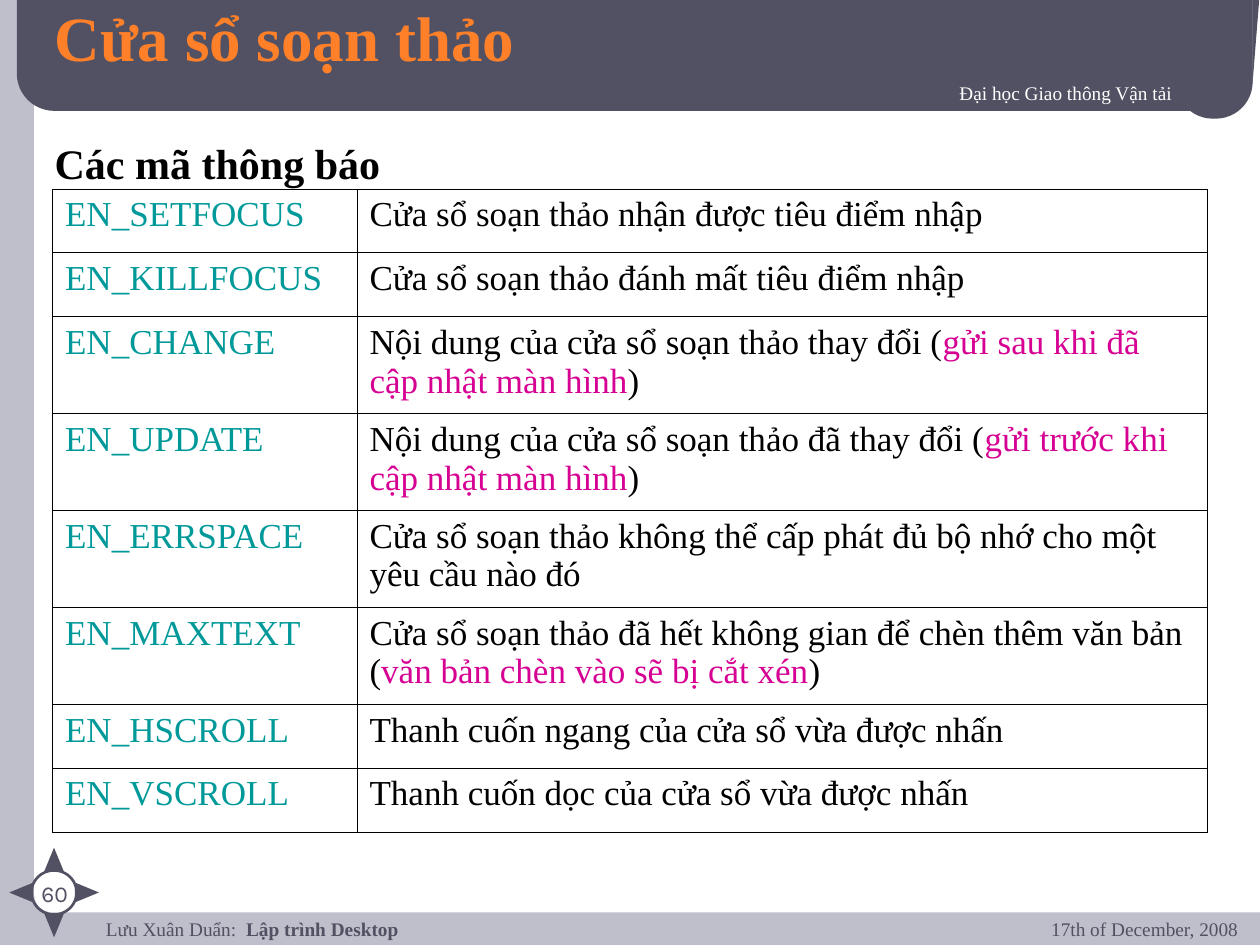
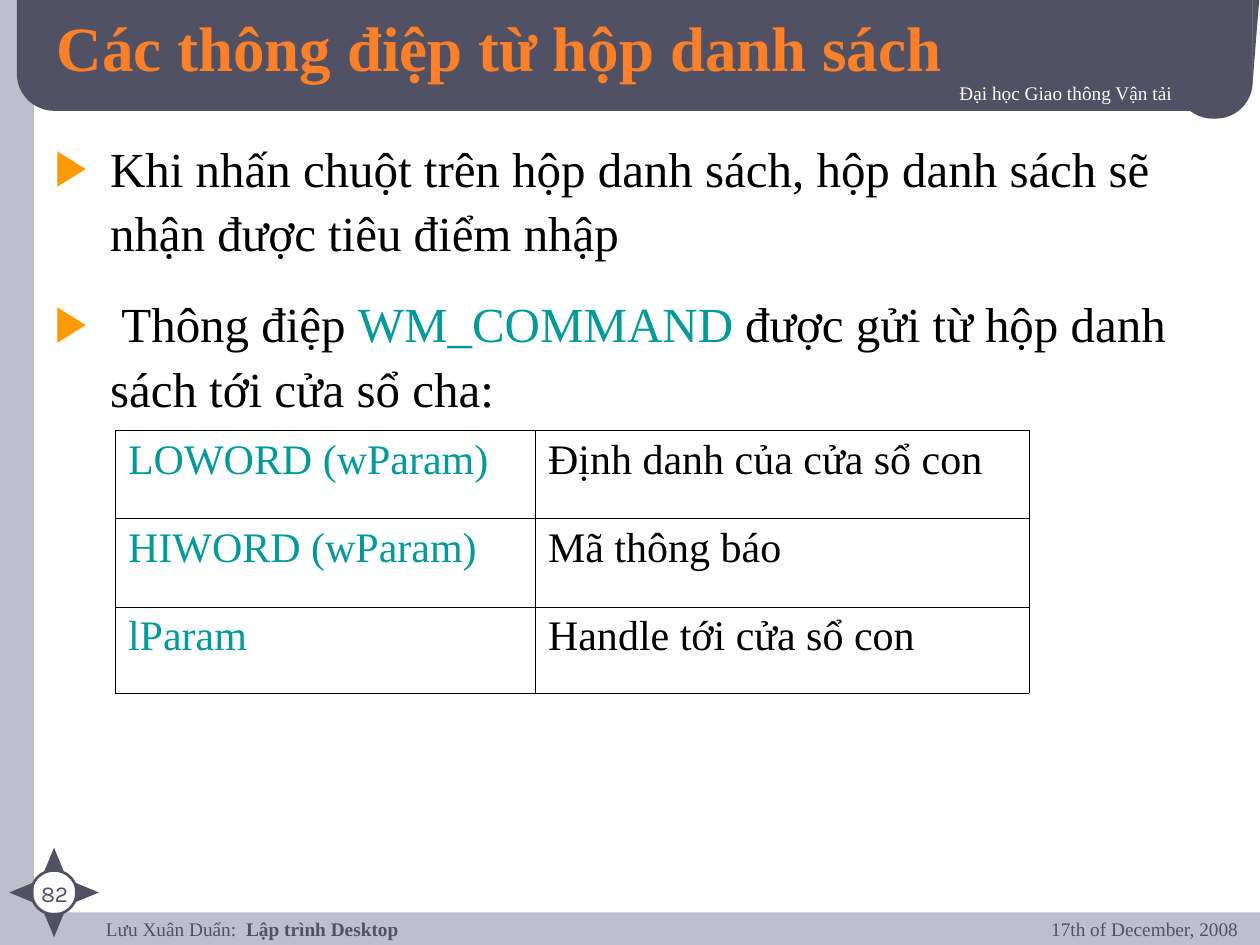
import math
from dataclasses import dataclass

import lxml.etree
import pptx
import pptx.dml.color
import pptx.enum.shapes
import pptx.enum.text
import pptx.oxml.ns
import pptx.util

Pt = pptx.util.Pt
Inches = pptx.util.Inches
qn = pptx.oxml.ns.qn
Preset = pptx.enum.shapes.MSO_SHAPE
Align = pptx.enum.text.PP_ALIGN
Anchor = pptx.enum.text.MSO_ANCHOR

WIDTH, HEIGHT = Inches(10), Inches(7.5)
COLUMNS, ROWS = 120, 90


@dataclass(frozen=True)
class Theme:
    backdrop: str = "BFBFCB"
    paper: str = "FFFFFF"
    slate: str = "515163"
    title: str = "FF8029"
    ink: str = "000000"
    code: str = "009999"
    remark: str = "D60093"
    bullet: str = "FF9900"
    serif: str = "Times New Roman"
    number_font: str = "Karla"
    title_size: int = 36
    list_size: int = 28
    heading_size: int = 24
    cell_size: int = 20
    number_size: int = 13
    small_size: int = 11
    border: float = 0.45
    line_spacing: float = 1.1
    paragraph_gap: int = 15
    indent: float = 0.44


THEME = Theme()


def rgb(colour):
    return pptx.dml.color.RGBColor.from_string(colour)


def across(columns):
    return round(WIDTH * columns / COLUMNS)


def down(rows):
    return round(HEIGHT * rows / ROWS)


def grid(left, top, width, height):
    return across(left), down(top), across(width), down(height)


def place(holder, box):
    holder.left, holder.top, holder.width, holder.height = grid(*box)


def append(parent, tag, **attributes):
    return lxml.etree.SubElement(parent, qn(tag), attributes)


def cast_shadow(run):
    effects = lxml.etree.Element(qn("a:effectLst"))
    shadow = append(effects, "a:outerShdw", dist="25400", dir="2700000")
    append(shadow, "a:srgbClr", val=THEME.ink)
    run._r.rPr.find(qn("a:solidFill")).addnext(effects)


def add_run(paragraph, text, size, colour=THEME.ink, bold=False, font=THEME.serif, shadow=False):
    run = paragraph.add_run()
    run.text = text
    run.font.size, run.font.bold, run.font.name = Pt(size), bold, font
    run.font.color.rgb = rgb(colour)
    if shadow:
        cast_shadow(run)


def add_label(shapes, box, runs, align=Align.LEFT, top_inset=0.05, **style):
    """Place one line of text; runs holds (text, bold) pairs."""
    frame = shapes.add_textbox(*grid(*box)).text_frame
    frame.word_wrap = True
    frame.margin_top = frame.margin_bottom = Inches(top_inset)
    line = frame.paragraphs[0]
    line.alignment = align
    for text, bold in runs:
        add_run(line, text, bold=bold, **style)


def add_block(shapes, preset, box, colour, corner=None, turn=0):
    block = shapes.add_shape(preset, *grid(*box))
    block.shadow.inherit = False
    block.fill.solid()
    block.fill.fore_color.rgb = rgb(colour)
    block.line.fill.background()
    block.rotation = turn
    if corner is not None:
        block.adjustments[0] = corner


def add_compass(shapes):
    ring = shapes.add_shape(Preset.OVAL, *grid(3, 82.9, 4.3, 4.2))
    ring.shadow.inherit = False
    ring.fill.background()
    ring.line.color.rgb = rgb(THEME.slate)
    ring.line.width = Pt(1.5)
    centre_x, centre_y, reach, base, height = 5.15, 85, 3.12, 1.9, 2.3
    for turn in range(0, 360, 90):
        x = centre_x + reach * math.sin(math.radians(turn))
        y = centre_y - reach * math.cos(math.radians(turn))
        add_block(shapes, Preset.ISOSCELES_TRIANGLE,
                  (x - base / 2, y - height / 2, base, height), THEME.slate, turn=turn)


def decorate_master(master, slide):
    """Draw the shared frame on a slide, then move it to the master."""
    master.background.fill.solid()
    master.background.fill.fore_color.rgb = rgb(THEME.backdrop)
    frame = slide.shapes.add_group_shape()
    shapes = frame.shapes
    rounded = Preset.ROUNDED_RECTANGLE
    add_block(shapes, rounded, (3.25, -1.5, 120, 88.4), THEME.paper, 0.02)
    add_block(shapes, rounded, (1.6, -4.3, 117.7, 14.86), THEME.slate, 0.24)
    add_block(shapes, rounded, (112, 3.5, 7.3, 7.8), THEME.slate, 0.48)
    add_block(shapes, Preset.RIGHT_TRIANGLE, (115.14, 3.18, 9, 0.72), THEME.slate, turn=90)
    add_label(shapes, (8.9, 87.4, 92.9, 4),
              [("Lưu Xuân Duẩn:  ", False), ("Lập trình Desktop", True)],
              top_inset=0, size=THEME.small_size, colour=THEME.slate)
    add_compass(shapes)
    add_label(shapes, (36.4, 7.2, 76.4, 4.6), [("Đại học Giao thông Vận tải", False)],
              Align.RIGHT, size=THEME.small_size, colour=THEME.paper, shadow=True)
    for number, properties in enumerate(frame.element.iter(qn("p:cNvPr")), 100):
        properties.set("id", str(number))
    master.shapes.element.append(frame.element)


def add_page_marks(slide, number):
    add_label(slide.shapes, (1.7, 83.2, 7, 2.6), [(number, False)], Align.CENTER,
              size=THEME.number_size, colour=THEME.slate, font=THEME.number_font)
    add_label(slide.shapes, (90.2, 86.8, 28.9, 5), [("17th of December, 2008", False)],
              Align.RIGHT, size=THEME.small_size, colour=THEME.slate)


def set_title(slide, text, box):
    title = slide.shapes.title
    place(title, box)
    frame = title.text_frame
    frame.auto_size = pptx.enum.text.MSO_AUTO_SIZE.NONE
    frame.vertical_anchor = Anchor.MIDDLE
    frame.paragraphs[0].alignment = Align.LEFT
    add_run(frame.paragraphs[0], text, THEME.title_size, THEME.title, bold=True, shadow=True)


def set_bullet(paragraph, bulleted):
    properties = paragraph._p.get_or_add_pPr()
    indent = Inches(THEME.indent)
    properties.set("marL", str(indent))
    properties.set("indent", str(-indent))
    if bulleted:
        append(append(properties, "a:buClr"), "a:srgbClr", val=THEME.bullet)
        append(properties, "a:buFont", typeface=THEME.serif)
        append(properties, "a:buChar", char="▶")
    else:
        append(properties, "a:buNone")


def set_body(slide, box, paragraphs, size, bold=False, bulleted=True):
    """Fill the body; each paragraph is a list of (text, colour) runs."""
    body = slide.placeholders[1]
    place(body, box)
    frame = body.text_frame
    frame.auto_size = pptx.enum.text.MSO_AUTO_SIZE.NONE
    for index, runs in enumerate(paragraphs):
        paragraph = frame.add_paragraph() if index else frame.paragraphs[0]
        set_bullet(paragraph, bulleted)
        paragraph.line_spacing = THEME.line_spacing
        paragraph.space_before = Pt(THEME.paragraph_gap if index else 0)
        for text, colour in runs:
            add_run(paragraph, text, size, colour, bold)


def border_cell(cell):
    properties = cell._tc.get_or_add_tcPr()
    for index, side in enumerate(("a:lnL", "a:lnR", "a:lnT", "a:lnB")):
        edge = lxml.etree.Element(qn(side), w=str(Pt(THEME.border)))
        append(append(edge, "a:solidFill"), "a:srgbClr", val=THEME.ink)
        properties.insert(index, edge)


def add_code_table(slide, left, top, widths, heights, entries, size):
    """Tabulate (code, meaning runs) entries inside thin black borders."""
    table = slide.shapes.add_table(
        len(entries), len(widths), *grid(left, top, sum(widths), sum(heights))).table
    table.first_row = table.horz_banding = False
    for column, width in zip(table.columns, widths):
        column.width = across(width)
    for row, height, (code, meaning) in zip(table.rows, heights, entries):
        row.height = down(height)
        for cell, runs in zip(row.cells, ([(code, THEME.code)], meaning)):
            cell.fill.background()
            border_cell(cell)
            for text, colour in runs:
                add_run(cell.text_frame.paragraphs[0], text, size, colour)


def plain(text):
    return [(text, THEME.ink)]


def with_remark(text, remark):
    return plain(text + " (") + [(remark, THEME.remark)] + plain(")")


def build_edit_window(slide):
    set_title(slide, "Cửa sổ soạn thảo", (4, 0, 108, 7))
    set_body(slide, (4, 12, 56, 6), [plain("Các mã thông báo")],
             THEME.heading_size, bold=True, bulleted=False)
    notifications = [
        ("EN_SETFOCUS", plain("Cửa sổ soạn thảo nhận được tiêu điểm nhập")),
        ("EN_KILLFOCUS", plain("Cửa sổ soạn thảo đánh mất tiêu điểm nhập")),
        ("EN_CHANGE", with_remark("Nội dung của cửa sổ soạn thảo thay đổi",
                                  "gửi sau khi đã cập nhật màn hình")),
        ("EN_UPDATE", with_remark("Nội dung của cửa sổ soạn thảo đã thay đổi",
                                  "gửi trước khi cập nhật màn hình")),
        ("EN_ERRSPACE", plain("Cửa sổ soạn thảo không thể cấp phát đủ bộ nhớ "
                              "cho một yêu cầu nào đó")),
        ("EN_MAXTEXT", with_remark("Cửa sổ soạn thảo đã hết không gian để chèn thêm văn bản",
                                   "văn bản chèn vào sẽ bị cắt xén")),
        ("EN_HSCROLL", plain("Thanh cuốn ngang của cửa sổ vừa được nhấn")),
        ("EN_VSCROLL", plain("Thanh cuốn dọc của cửa sổ vừa được nhấn")),
    ]
    single, double = 6.08, 9.24
    heights = [single] * 2 + [double] * 4 + [single] * 2
    add_code_table(slide, 5, 18, (29, 81), heights, notifications, THEME.cell_size)
    add_page_marks(slide, "60")


def build_list_box(slide):
    set_title(slide, "Các thông điệp từ hộp danh sách", (4.2, 1, 100.3, 6.8))
    set_body(slide, (4, 12, 113, 26.4), [
        plain("Khi nhấn chuột trên hộp danh sách, hộp danh sách sẽ nhận được tiêu điểm nhập"),
        plain(" Thông điệp ") + [("WM_COMMAND", THEME.code)]
        + plain(" được gửi từ hộp danh sách tới cửa sổ cha:"),
    ], THEME.list_size)
    parameters = [
        ("LOWORD (wParam)", plain("Định danh của cửa sổ con")),
        ("HIWORD (wParam)", plain("Mã thông báo")),
        ("lParam", plain("Handle tới cửa sổ con")),
    ]
    add_code_table(slide, 11, 41, (40, 47), (8.4, 8.4, 8.2), parameters, THEME.heading_size)
    add_page_marks(slide, "82")


def main():
    deck = pptx.Presentation()
    deck.slide_width, deck.slide_height = WIDTH, HEIGHT
    title_and_content = deck.slide_layouts[1]
    edit_window, list_box = (deck.slides.add_slide(title_and_content) for _ in range(2))
    decorate_master(deck.slide_master, edit_window)
    build_edit_window(edit_window)
    build_list_box(list_box)
    deck.save("out.pptx")


if __name__ == "__main__":
    main()
